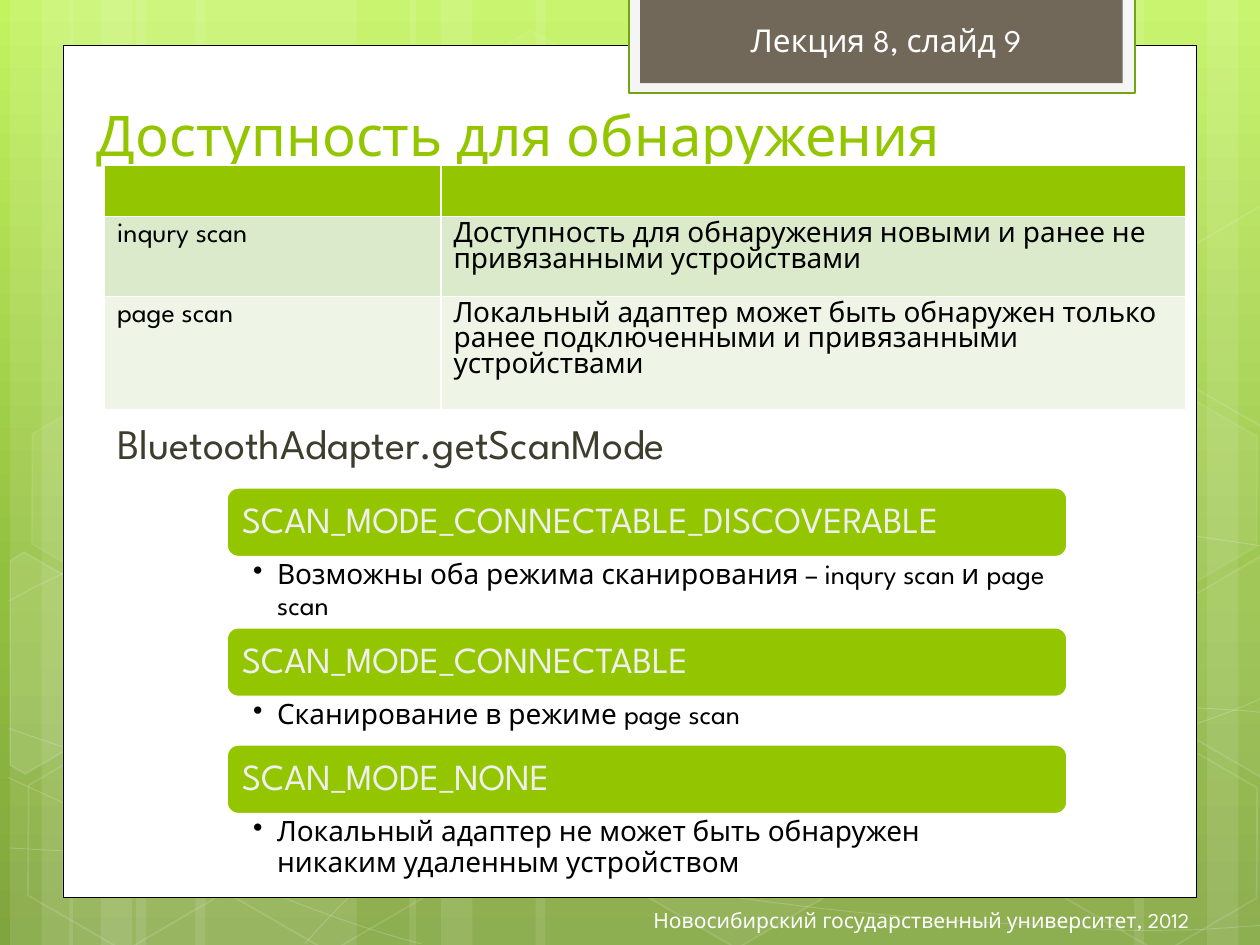
from copy import deepcopy
from math import cos, radians, sin

from lxml.etree import SubElement
from pptx import Presentation
from pptx.dml.color import RGBColor as RGB
from pptx.enum.shapes import MSO_SHAPE as SHAPE
from pptx.enum.text import MSO_ANCHOR as ANCHOR, MSO_AUTO_SIZE as AUTO, PP_ALIGN as ALIGN
from pptx.oxml.ns import qn
from pptx.util import Inches, Pt

FONT = "League Spartan"
COLORS = {
    "white": "FFFFFF", "pale": "EFEFEF", "frame": "F5F5F5", "black": "000000",
    "green": "94C600", "edge": "74A510", "brown": "71685A", "text": "3E3D2D",
    "row1": "DCEACC", "row2": "EEF5E7",
    "top": "C3F35F", "middle": "93BF3F", "bottom": "81A53E",
}


def paint(sp, fill=None, line=None, width=1, fill_alpha=100, line_alpha=100):
    sp.shadow.inherit = False
    if fill:
        sp.fill.solid()
        sp.fill.fore_color.rgb = RGB.from_string(COLORS[fill])
    else:
        sp.fill.background()
    if line:
        sp.line.color.rgb = RGB.from_string(COLORS[line])
        sp.line.width = Pt(width)
    else:
        sp.line.fill.background()
    spPr = sp._element.spPr
    for query, alpha in (("./a:solidFill/a:srgbClr", fill_alpha),
                         ("./a:ln/a:solidFill/a:srgbClr", line_alpha)):
        if alpha < 100:
            for clr in spPr.xpath(query):
                SubElement(clr, qn("a:alpha")).set("val", str(alpha * 1000))


def write(tf, text, size=16, color="black", align=ALIGN.LEFT, anchor=ANCHOR.TOP,
          wrap=True, insets=(0.1, 0.05, 0.1, 0.05), spacing=None, bullet=False, grow=False):
    tf.word_wrap = wrap
    tf.auto_size = AUTO.SHAPE_TO_FIT_TEXT if grow else AUTO.NONE
    tf.vertical_anchor = anchor
    tf.margin_left, tf.margin_top, tf.margin_right, tf.margin_bottom = map(Inches, insets)
    p = tf.paragraphs[0]
    p.alignment = align
    if spacing:
        p.line_spacing = spacing
    if bullet:
        pPr = p._p.get_or_add_pPr()
        pPr.set("marL", str(Inches(0.19)))
        pPr.set("indent", str(Inches(-0.19)))
        SubElement(pPr, qn("a:buChar")).set("char", "••")
    r = p.add_run()
    r.text = text
    r.font.size = Pt(size)
    r.font.name = FONT
    r.font.color.rgb = RGB.from_string(COLORS[color])


prs = Presentation()
prs.slide_width, prs.slide_height = Inches(10), Inches(7.5)
s = prs.slides.add_slide(prs.slide_layouts[6])

bg = s.background.fill
bg.gradient()
bg.gradient_angle = 270
stops = s._element.find(".//" + qn("a:gsLst"))
stops.append(deepcopy(stops[-1]))
for stop, position, color in zip(bg.gradient_stops, (0, 0.62, 1), ("top", "middle", "bottom")):
    stop.position = position
    stop.color.rgb = RGB.from_string(COLORS[color])

stripes = [(1.08, 1.75), (0.08, 0.5), (0.33, 0.83), (1.55, 1.75), (0.55, 0.5), (0.8, 0.83),
           (7.33, 1.75), (9.58, 0.5), (9, 0.83), (4.25, 3.08), (3.25, 0.5), (3.5, 0.83)]
for x, w in stripes:
    sp = s.shapes.add_shape(SHAPE.RECTANGLE, Inches(x), 0, Inches(w), Inches(7.5))
    paint(sp, "white", fill_alpha=10)

curves = [
    [(0.07, 6.73), (0.61, 6.76), (1.15, 6.79), (1.9, 6.78), (2.65, 6.77), (3.58, 6.75),
     (4.58, 6.65), (5.58, 6.55), (7, 6.36), (7.92, 6.17), (8.83, 5.98), (9.77, 5.68), (10.07, 5.51)],
    [(0.07, 4.77), (0.36, 4.61), (0.65, 4.46), (1.21, 4.31), (1.78, 4.16), (2.59, 3.94),
     (3.47, 3.87), (4.36, 3.8), (5.44, 3.79), (6.54, 3.87), (7.64, 3.95), (9.47, 4.26), (10.07, 4.34)],
    [(0.06, 6.17), (1.27, 6.72), (2.47, 7.27), (3.34, 7.49)],
    [(0.07, 5.78), (0.38, 5.89), (0.7, 6), (1.28, 6.16), (1.86, 6.31), (2.73, 6.56),
     (3.57, 6.73), (4.4, 6.9), (5.45, 7.08), (6.28, 7.18), (7.11, 7.29), (8, 7.33),
     (8.53, 7.36), (9.05, 7.4), (9.19, 7.38), (9.45, 7.38), (9.71, 7.37), (9.89, 7.35), (10.07, 7.34)],
    [(2.42, 7.49), (2.6, 7.29), (2.78, 7.09), (3.02, 6.91), (3.26, 6.73), (3.6, 6.53),
     (3.88, 6.39), (4.16, 6.25), (4.33, 6.19), (4.7, 6.09), (5.06, 5.99), (5.73, 5.85),
     (6.08, 5.78), (6.44, 5.71), (6.49, 5.71), (6.8, 5.69), (7.11, 5.66), (7.6, 5.63),
     (7.94, 5.62), (8.29, 5.61), (8.86, 5.62), (8.86, 5.62), (9.08, 5.62), (9.3, 5.62),
     (9.53, 5.62), (9.71, 5.63), (9.88, 5.64), (9.97, 5.65), (10.06, 5.66), (10.03, 5.65), (10.06, 5.66)],
]
for nodes in curves:
    start, *controls = [(Inches(x), Inches(y)) for x, y in nodes]
    fb = s.shapes.build_freeform(*start)
    fb.add_line_segments(controls, close=False)
    sp = fb.convert_to_shape()
    outline = sp._element.spPr.xpath(".//a:path")[0]
    lines = outline.findall(qn("a:lnTo"))
    for i in range(0, len(lines), 3):
        bezier = SubElement(outline, qn("a:cubicBezTo"))
        for ln in lines[i:i + 3]:
            bezier.append(ln[0])
            outline.remove(ln)
    paint(sp, line="white", width=0.5, line_alpha=20)

hexagons = [(3.34, 0.36, 4, 8), (4.97, 5.89, 6, 12), (0.11, 5.91, 0, 12),
            (0.14, 3.12, 7, 8), (1.74, 5.92, 0, 12), (7.53, 4.53, 10, 12),
            (8.34, 5.93, 0, 12), (8.34, 3.14, 7, 8)]
for x, y, fill_alpha, line_alpha in hexagons:
    sp = s.shapes.add_shape(SHAPE.HEXAGON, Inches(x), Inches(y), Inches(1.75), Inches(1.52))
    sp.adjustments[0] = 0.285
    sp.rotation = 30
    paint(sp, "white" if fill_alpha else None, "white", 1, fill_alpha, line_alpha)

cut_hexagons = [
    ((0.36, 5.35), [(0.08, 4.45), (0.19, 4.38), (0.96, 4.82), (0.95, 5.7), (0.2, 6.14), (0.08, 6.07)], 10),
    ((9.85, 5.2), [(9.26, 4.85), (10.01, 4.41), (10.09, 4.46), (10.09, 6.13), (10.02, 6.17), (9.26, 5.73)], 4),
    ((9.85, 2.41), [(9.26, 2.07), (10.01, 1.63), (10.1, 1.68), (10.09, 3.35), (10.02, 3.39), (9.26, 2.95)], 0),
]
c, d = cos(radians(30)), sin(radians(30))
for (cx, cy), corners, fill_alpha in cut_hexagons:
    start, *others = [(Inches(cx + (x - cx) * c + (y - cy) * d),
                       Inches(cy - (x - cx) * d + (y - cy) * c)) for x, y in corners]
    fb = s.shapes.build_freeform(*start)
    fb.add_line_segments(others)
    sp = fb.convert_to_shape()
    sp.rotation = 30
    paint(sp, "white" if fill_alpha else None, "white", 1, fill_alpha, 12)

panels = [((0.5, 0.36, 9, 6.76), "white", "black", 0.5),
          ((4.99, -0.02, 4.02, 0.76), "frame", "edge", 1.25),
          ((5.08, -0.02, 3.83, 0.68), "brown", None, 0)]
for box, fill, line, width in panels:
    paint(s.shapes.add_shape(SHAPE.RECTANGLE, *map(Inches, box)), fill, line, width)

labels = [
    ((5.86, 0.12, 2.45, 0.4), "Лекция 8, слайд 9", dict(size=18, color="white", wrap=False, grow=True)),
    ((3.11, 7.1, 6.43, 0.4), "Новосибирский государственный университет, 2012",
     dict(size=12, color="white", align=ALIGN.RIGHT, anchor=ANCHOR.MIDDLE)),
    ((0.67, 0.75, 8.74, 0.64), "Доступность для обнаружения", dict(size=32, color="green", grow=True)),
    ((0.75, 1.86, 8.66, 5.12), "BluetoothAdapter.getScanMode",
     dict(size=24, color="text", insets=(0.18, 1.45, 0.1, 0.05))),
]
for box, text, fmt in labels:
    write(s.shapes.add_textbox(*map(Inches, box)).text_frame, text, **fmt)

modes = [
    ("SCAN_MODE_CONNECTABLE_DISCOVERABLE", "Возможны оба режима сканирования – inqury scan и page scan", 0.56),
    ("SCAN_MODE_CONNECTABLE", "Сканирование в режиме page scan", 0.38),
    ("SCAN_MODE_NONE", "Локальный адаптер не может быть обнаружен никаким удаленным устройством", 0.56),
]
y = 3.87
for name, note, note_height in modes:
    sp = s.shapes.add_shape(SHAPE.ROUNDED_RECTANGLE, Inches(1.8), Inches(y), Inches(6.67), Inches(0.55))
    paint(sp, "green", "white", 1.25)
    tb = s.shapes.add_textbox(Inches(1.83), Inches(y + 0.02), Inches(6.61), Inches(0.5))
    write(tb.text_frame, name, size=21, color="pale", anchor=ANCHOR.MIDDLE, spacing=0.9, insets=(0.09,) * 4)
    y += 0.55
    tb = s.shapes.add_textbox(Inches(1.8), Inches(y), Inches(6.67), Inches(note_height))
    write(tb.text_frame, note, spacing=0.9, bullet=True, insets=(0.21, 0.03, 0.16, 0.03))
    y += note_height

rows = [
    ("green", ("", "")),
    ("row1", ("inqury scan", "Доступность для обнаружения новыми и ранее не привязанными устройствами")),
    ("row2", ("page scan", "Локальный адаптер может быть обнаружен только ранее подключенными "
                           "и привязанными устройствами")),
]
table = s.shapes.add_table(3, 2, Inches(0.83), Inches(1.31), Inches(8.58), Inches(1.23)).table
for column, width in zip(table.columns, (2.67, 5.91)):
    column.width = Inches(width)
for i, (fill, texts) in enumerate(rows):
    table.rows[i].height = Inches(0.41)
    for j, text in enumerate(texts):
        cell = table.cell(i, j)
        cell.fill.solid()
        cell.fill.fore_color.rgb = RGB.from_string(COLORS[fill])
        if text:
            write(cell.text_frame, text)

prs.save("out.pptx")
